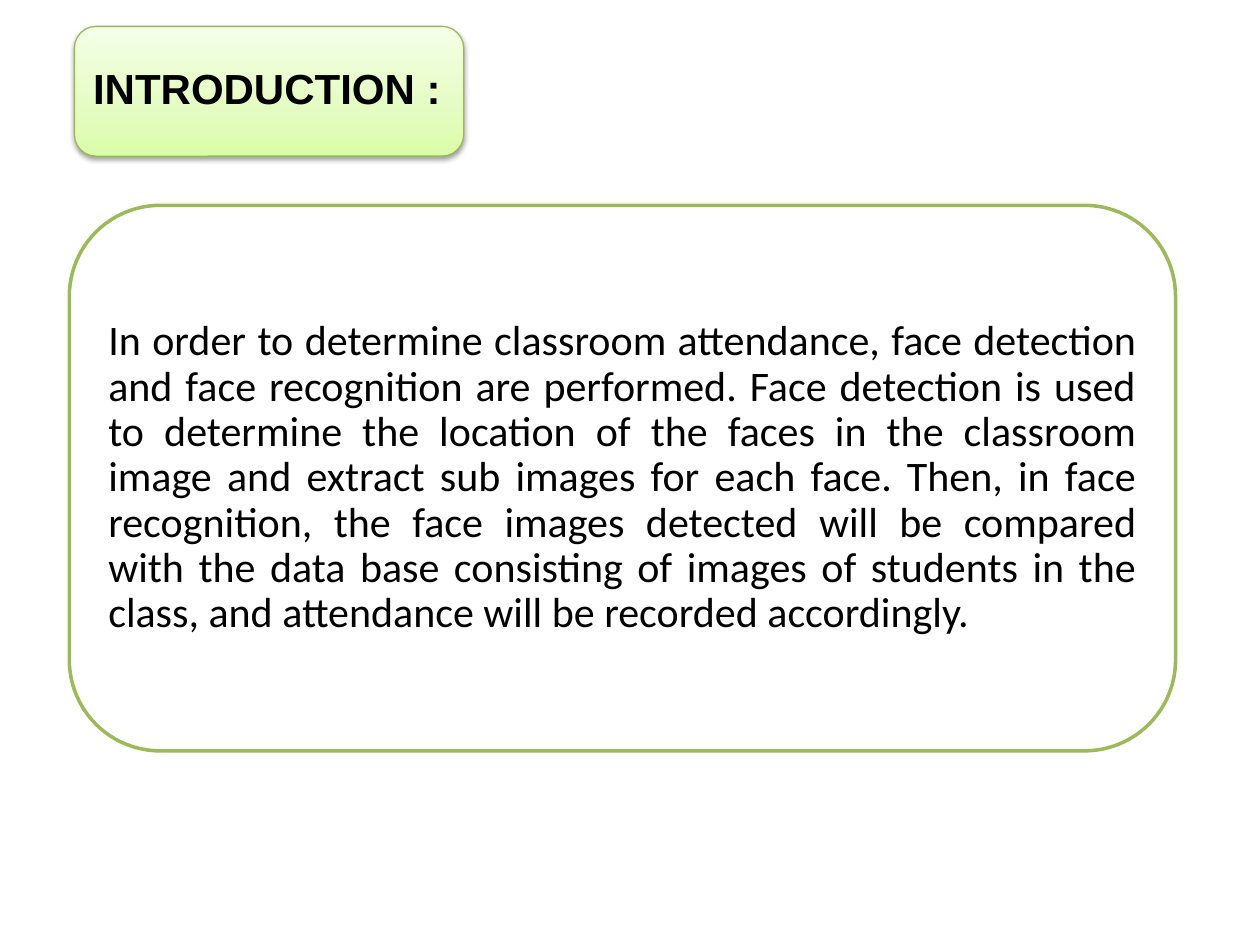
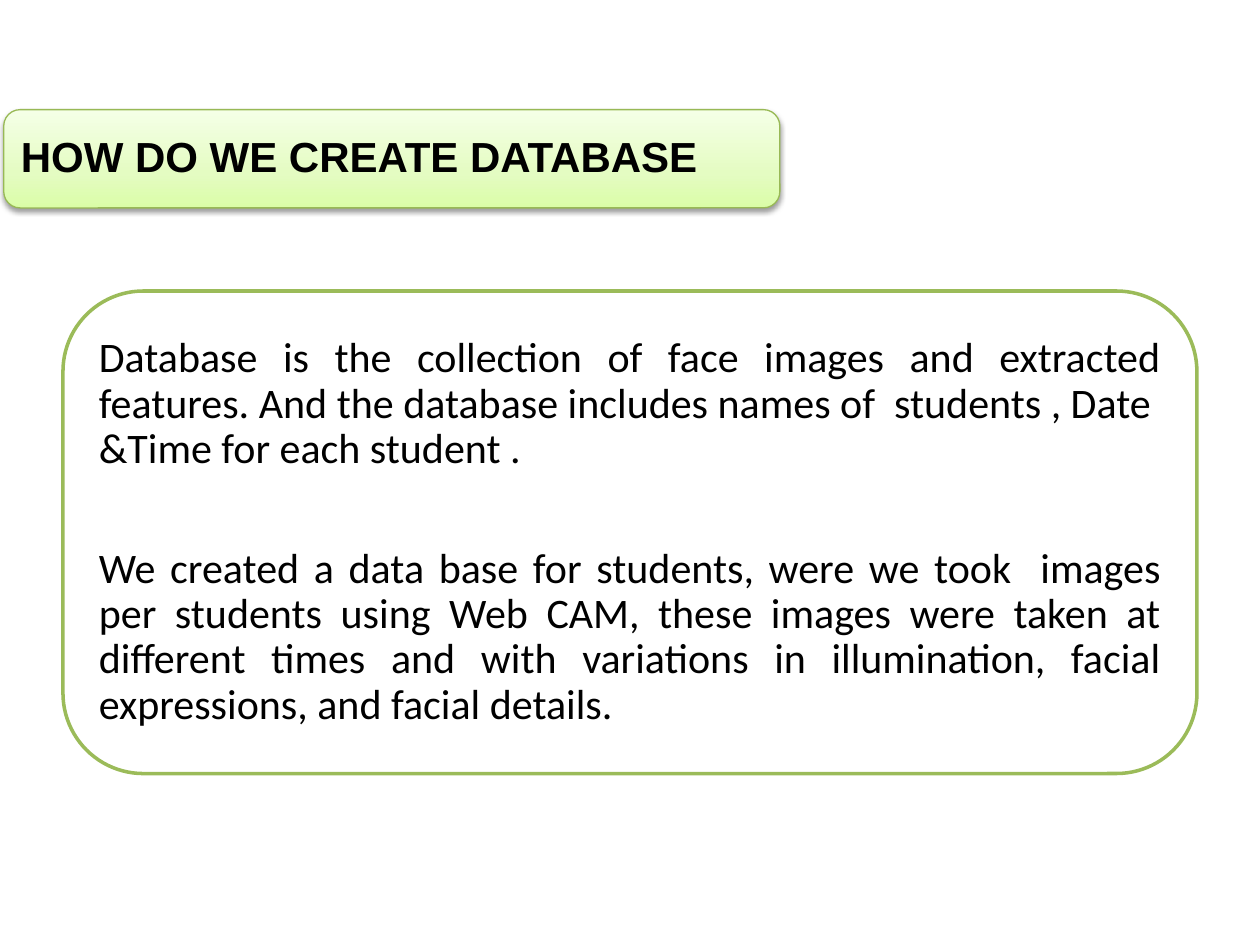
from dataclasses import dataclass

from lxml.etree import SubElement
from pptx import Presentation
from pptx.dml.color import RGBColor
from pptx.enum.shapes import MSO_SHAPE
from pptx.enum.text import MSO_ANCHOR, PP_ALIGN
from pptx.oxml.ns import qn
from pptx.util import Inches, Pt

SLIDES = [
    {
        "title": "INTRODUCTION :",
        "title_box": (0.59, 0.21, 3.09, 1.03),
        "body": [
            "In order to determine classroom attendance, face detection and face recognition "
            "are performed. Face detection is used to determine the location of the faces in "
            "the classroom image and extract sub images for each face. Then, in face "
            "recognition, the face images detected will be compared with the data base "
            "consisting of images of students in the class, and attendance will be recorded "
            "accordingly.",
        ],
        "body_box": (0.55, 1.63, 8.78, 4.33),
    },
    {
        "title": "HOW DO WE CREATE DATABASE",
        "title_box": (0.03, 0.87, 6.16, 0.78),
        "body": [
            "Database is the collection of face images and extracted features. And the "
            "database includes names of  students , Date  &Time for each student .",
            "We created a data base for students, were we took  images per students using "
            "Web CAM, these images were taken at different times and with variations in "
            "illumination, facial expressions, and facial details.",
        ],
        "body_box": (0.5, 2.31, 9, 3.83),
    },
]


@dataclass(frozen=True)
class Theme:
    title_font: str = "Arial"
    body_font: str = "Calibri"
    text_size: int = 24
    text_color: str = "000000"
    line_spacing: float = 0.9
    paragraph_gap: float = 42.5
    margin: float = 0.1
    panel_fill: str = "FFFFFF"
    panel_line: str = "9BBB59"
    panel_line_width: float = 2
    title_line: str = "98B955"
    title_line_width: float = 0.75
    title_gradient: tuple = ((0, "DAFDA7"), (35, "E4FCC2"), (100, "F5FFE7"))
    shadow_color: str = "000000"
    shadow_opacity: int = 38
    shadow_blur: float = 3.1
    shadow_distance: float = 1.6


THEME = Theme()


def add_color(parent, color):
    return SubElement(parent, qn("a:srgbClr"), val=color)


def add_rounded_box(slide, box, line_color, line_width):
    shape = slide.shapes.add_shape(
        MSO_SHAPE.ROUNDED_RECTANGLE, *(Inches(length) for length in box)
    )
    shape.line.color.rgb = RGBColor.from_string(line_color)
    shape.line.width = Pt(line_width)
    shape.shadow.inherit = False
    return shape


def fill_gradient(shape, stops):
    shape.fill.gradient()
    shape.fill.gradient_angle = 90
    stop_list = shape.element.spPr.find(qn("a:gradFill")).find(qn("a:gsLst"))
    for stop in list(stop_list):
        stop_list.remove(stop)
    for position, color in stops:
        stop = SubElement(stop_list, qn("a:gs"), pos=str(position * 1000))
        add_color(stop, color)


def add_shadow(shape):
    effects = shape.element.spPr.find(qn("a:effectLst"))
    shadow = SubElement(
        effects,
        qn("a:outerShdw"),
        blurRad=str(Pt(THEME.shadow_blur)),
        dist=str(Pt(THEME.shadow_distance)),
        dir=str(90 * 60000),
        rotWithShape="0",
    )
    color = add_color(shadow, THEME.shadow_color)
    SubElement(color, qn("a:alpha"), val=str(THEME.shadow_opacity * 1000))


def write_text(shape, paragraphs, *, font, bold=False, alignment=PP_ALIGN.LEFT):
    frame = shape.text_frame
    frame.word_wrap = True
    frame.vertical_anchor = MSO_ANCHOR.MIDDLE
    frame.margin_left = frame.margin_right = Inches(THEME.margin)
    frame.margin_top = frame.margin_bottom = Inches(THEME.margin)
    for index, text in enumerate(paragraphs):
        paragraph = frame.add_paragraph() if index else frame.paragraphs[0]
        paragraph.alignment = alignment
        paragraph.line_spacing = THEME.line_spacing
        paragraph.space_before = Pt(THEME.paragraph_gap if index else 0)
        run = paragraph.add_run()
        run.text = text
        run.font.name = font
        run.font.size = Pt(THEME.text_size)
        run.font.bold = bold
        run.font.color.rgb = RGBColor.from_string(THEME.text_color)


def add_title(slide, title, box):
    shape = add_rounded_box(slide, box, THEME.title_line, THEME.title_line_width)
    fill_gradient(shape, THEME.title_gradient)
    add_shadow(shape)
    write_text(shape, [title], font=THEME.title_font, bold=True)


def add_body(slide, paragraphs, box):
    shape = add_rounded_box(slide, box, THEME.panel_line, THEME.panel_line_width)
    shape.fill.solid()
    shape.fill.fore_color.rgb = RGBColor.from_string(THEME.panel_fill)
    write_text(shape, paragraphs, font=THEME.body_font, alignment=PP_ALIGN.JUSTIFY)


def main():
    presentation = Presentation()
    presentation.slide_width = Inches(10)
    presentation.slide_height = Inches(7.5)
    for content in SLIDES:
        slide = presentation.slides.add_slide(presentation.slide_layouts[6])
        add_title(slide, content["title"], content["title_box"])
        add_body(slide, content["body"], content["body_box"])
    presentation.save("out.pptx")


if __name__ == "__main__":
    main()
